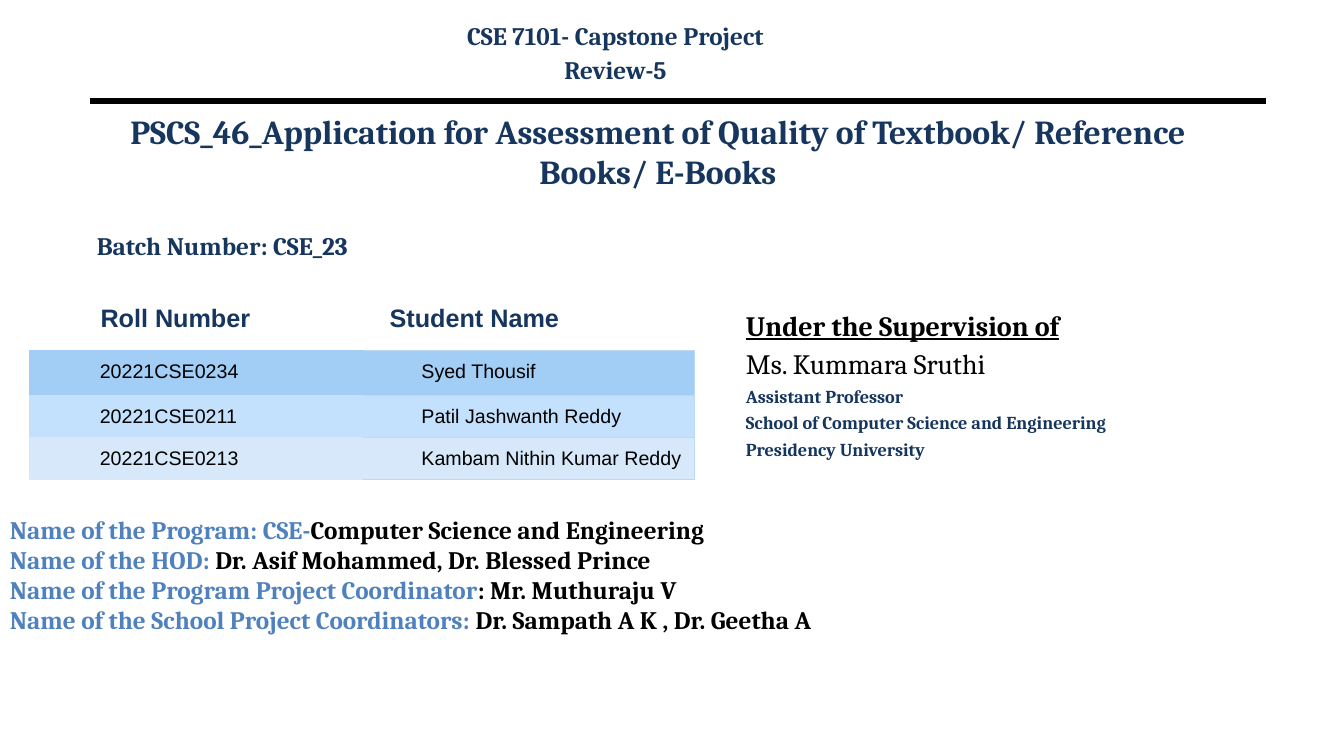
from lxml import etree
from pptx import Presentation
from pptx.dml.color import RGBColor
from pptx.enum.shapes import MSO_CONNECTOR
from pptx.enum.text import MSO_ANCHOR, PP_ALIGN
from pptx.oxml.ns import qn
from pptx.util import Pt

PX = 9144  # 100 px to the inch
LEFT, CENTER = PP_ALIGN.LEFT, PP_ALIGN.CENTER
TOP, MIDDLE = MSO_ANCHOR.TOP, MSO_ANCHOR.MIDDLE
STRAIGHT = MSO_CONNECTOR.STRAIGHT
SERIF, SANS = "Cambria", "Arial"
COLORS = {"navy": "17365D", "blue": "4F81BD", "black": "000000",
          "deep": "A2CDF4", "mid": "C3E1FC", "pale": "D6E8F9",
          "edge": "BCD8F2"}


def rgb(name):
    return RGBColor.from_string(COLORS[name])


def place(shape, box):
    shape.left, shape.top, shape.width, shape.height = (n * PX for n in box)


def add_run(para, text, size, color="navy", bold=True, line=False, face=SERIF):
    run = para.add_run()
    run.text = text
    font = run.font
    font.name, font.size, font.bold = face, Pt(size), bold
    font.underline = line
    font.color.rgb = rgb(color)


def fill_text(frame, lines, align=LEFT, gap=0, anchor=TOP):
    """Write lines, each a list of argument tuples for add_run."""
    frame.word_wrap = True
    frame.vertical_anchor = anchor
    for i, runs in enumerate(lines):
        para = frame.paragraphs[0] if i == 0 else frame.add_paragraph()
        para.alignment = align
        para.space_before = Pt(gap if i else 0)
        for run in runs:
            add_run(para, *run)


def add_text(slide, box, lines, align=LEFT, gap=0):
    shape = slide.shapes.add_textbox(*(n * PX for n in box))
    fill_text(shape.text_frame, lines, align, gap)


def add_grid(slide, box, cols, rows):
    """Add a table without banding and return it."""
    table = slide.shapes.add_table(
        len(rows), len(cols), *(n * PX for n in box)).table
    table.first_row = table.horz_banding = False
    for col, width in zip(table.columns, cols):
        col.width = width * PX
    for row, height in zip(table.rows, rows):
        row.height = height * PX
    return table


def set_edges(cell, colors):
    """Draw left, right, top and bottom borders in the given colours."""
    props = cell._tc.get_or_add_tcPr()
    for side, color in zip("LRTB", colors):
        line = etree.SubElement(props, qn(f"a:ln{side}"), w=str(Pt(0.75)))
        solid = etree.SubElement(line, qn("a:solidFill"))
        etree.SubElement(solid, qn("a:srgbClr"), val=COLORS[color])


def add_header(slide, box):
    x, y, w, h = box
    add_text(slide, (x + 221, y, 601, 80),
             [[("CSE 7101- Capstone Project", 18)], [("Review-5", 18)]],
             CENTER, 3.1)
    rule = slide.shapes.add_connector(
        STRAIGHT, *(n * PX for n in (x, y + h, x + w, y + h)))
    rule.line.width = Pt(4.5)
    rule.line.color.rgb = rgb("black")
    etree.SubElement(rule._element.spPr, qn("a:effectLst"))


def add_titles(slide, box):
    x, y, w, h = box
    title, batch = slide.shapes.title, slide.placeholders[1]
    place(title, (x, y, w, 105))
    title.text_frame.margin_bottom = 44 * PX
    fill_text(title.text_frame, [[(
        "PSCS_46_Application for Assessment of Quality of Textbook/ "
        "Reference Books/ E-Books", 24)]], CENTER, anchor=MIDDLE)
    place(batch, (x, y + h - 60, 480, 60))
    fill_text(batch.text_frame, [[("Batch Number: CSE_23", 18)]])


def add_students(slide, box):
    x, y, w, h = box
    heads = add_grid(slide, (x + 31, y, 593, 240), (228, 365), [33] * 6)
    for cell in heads.iter_cells():
        cell.fill.background()
    for cell, text in zip(heads.rows[0].cells, ("Roll Number", "Student Name")):
        cell.vertical_anchor = MIDDLE
        para = cell.text_frame.paragraphs[0]
        para.alignment = CENTER
        add_run(para, text, 18, face=SANS)

    people = (("20221CSE0234", "Syed Thousif", "deep"),
              ("20221CSE0211", "Patil Jashwanth Reddy", "mid"),
              ("20221CSE0213", "Kambam Nithin Kumar Reddy", "pale"))
    table = add_grid(slide, (x, y + h - 128, w, 128),
                     (w // 2, w // 2), (44, 42, 42))
    for row, (roll, name, shade) in zip(table.rows, people):
        parts = ((roll, 70, [shade] * 4),
                 (name, 59, [shade, "edge", "edge", "edge"]))
        for cell, (text, indent, edges) in zip(row.cells, parts):
            set_edges(cell, edges)
            cell.fill.solid()
            cell.fill.fore_color.rgb = rgb(shade)
            cell.margin_left = indent * PX
            cell.margin_right = cell.margin_top = 10 * PX
            cell.margin_bottom = 8 * PX
            add_run(cell.text_frame.paragraphs[0], text, 14, "black", False,
                    face=SANS)


def add_guide(slide, box):
    lines = [[("Under the Supervision of", 20, "black", True, True)],
             [("Ms. Kummara Sruthi", 20, "black", False)]]
    lines += [[(text, 13)] for text in (
        "Assistant Professor", "School of Computer Science and Engineering",
        "Presidency University")]
    add_text(slide, box, lines, gap=3.4)


def add_staff(slide, box):
    pairs = (
        ("Name of the Program: CSE-", "Computer Science and Engineering"),
        ("Name of the HOD: ", "Dr. Asif Mohammed, Dr. Blessed Prince"),
        ("Name of the Program Project Coordinator", ": Mr. Muthuraju V"),
        ("Name of the School Project Coordinators: ",
         "Dr. Sampath A K , Dr. Geetha A"))
    add_text(slide, box, [[(role, 18, "blue"), (name, 18, "black")]
                          for role, name in pairs])


def main():
    deck = Presentation()
    deck.slide_width, deck.slide_height = 1333 * PX, 750 * PX
    slide = deck.slides.add_slide(deck.slide_layouts[0])
    add_header(slide, (89, 15, 1167, 85))
    add_titles(slide, (86, 117, 1133, 166))
    add_students(slide, (29, 296, 660, 180))
    add_guide(slide, (730, 301, 603, 221))
    add_staff(slide, (0, 505, 1333, 171))
    deck.save("out.pptx")


if __name__ == "__main__":
    main()
